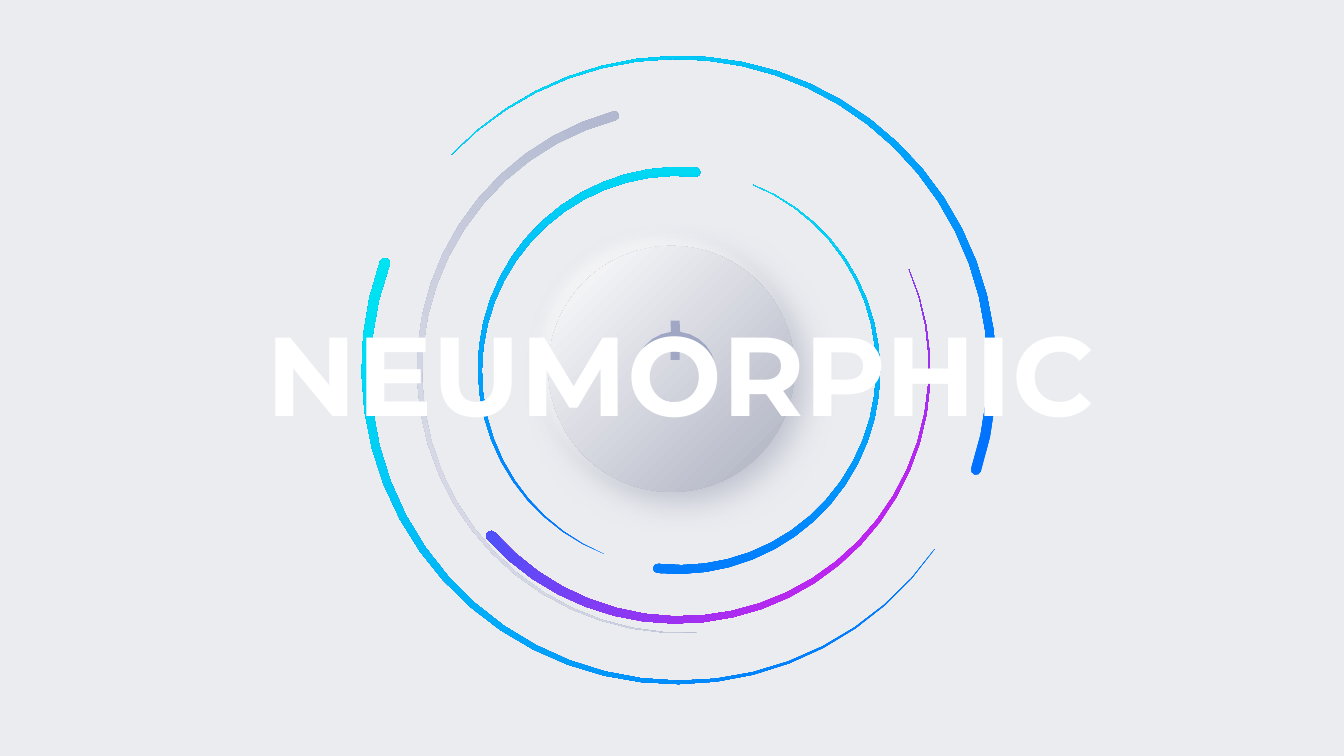
from dataclasses import dataclass
from math import cos, radians, sin

from lxml import etree
from pptx import Presentation
from pptx.dml.color import RGBColor
from pptx.enum.shapes import MSO_SHAPE
from pptx.enum.text import MSO_AUTO_SIZE, PP_ALIGN
from pptx.oxml.ns import qn
from pptx.util import Inches, Pt

OVAL = MSO_SHAPE.OVAL
CENTER = PP_ALIGN.CENTER
FIT_SHAPE = MSO_AUTO_SIZE.SHAPE_TO_FIT_TEXT

PAPER, WHITE, SHADE, SLATE = "EBECF0", "FFFFFF", "ACB0C0", "9FA7C4"
BLUE_CYAN = ("006EFF", "00E6F2")
MAGENTA_BLUE = ("E615EB", "006EFF")
GREY = (SLATE, "ECEDF3")

Point = tuple[float, float]


@dataclass
class Swoosh:
    """Arc that tapers from a round cap at start to a point at end (degrees)."""
    hub: Point
    radius: float
    start: float
    end: float
    width: float
    colors: tuple[str, str]
    direction: float = 225
    rotation: float = 0


@dataclass
class Shadow:
    color: str
    alpha: int
    blur: float
    distance: float
    direction: int


HUB = (6.73, 3.67)
SWOOSHES = [
    Swoosh(HUB, 3.1, 200, 35, 0.1, BLUE_CYAN),
    Swoosh((6.73, 3.68), 3.11, 18.4, -136.3, 0.1, BLUE_CYAN),
    Swoosh((6.77, 3.67), 2.61, 255, 87, 0.09, GREY, 170, 339.2),
    Swoosh((6.73, 3.66), 2.49, 138.3, -23.4, 0.1, MAGENTA_BLUE),
    Swoosh(HUB, 1.98, 96, -68, 0.09, BLUE_CYAN, rotation=46.7),
    Swoosh(HUB, 1.97, 275, 112, 0.09, BLUE_CYAN, rotation=46.7),
]
DISC_SHADOWS = [Shadow(SHADE, 73, 24, 9, 45), Shadow(WHITE, 56, 9, 9, 225)]


def rgb(color: str) -> RGBColor:
    return RGBColor.from_string(color)


def polar(center: Point, radius: float, angle: float) -> Point:
    a = radians(angle)
    return center[0] + radius * cos(a), center[1] + radius * sin(a)


def arc(center: Point, r0: float, r1: float, start: float, end: float,
        steps: int = 24) -> list[Point]:
    """Points from start to end while the radius goes from r0 to r1."""
    return [polar(center, r0 + (r1 - r0) * i / steps,
                  start + (end - start) * i / steps) for i in range(steps + 1)]


def add_outline(s, contours: list[list[Point]]):
    contours = [[(Inches(x), Inches(y)) for x, y in c] for c in contours]
    builder = s.shapes.build_freeform(*contours[0][0])
    for i, contour in enumerate(contours):
        if i:
            builder.move_to(*contour[0])
        builder.add_line_segments(contour[1:], close=True)
    sp = builder.convert_to_shape()
    sp.line.fill.background()
    sp.shadow.inherit = False
    return sp


def fill_gradient(sp, colors: tuple[str, str]) -> None:
    sp.fill.gradient()
    for stop, color, position in zip(sp.fill.gradient_stops, colors, (0, 1)):
        stop.color.rgb = rgb(color)
        stop.position = position


def add_swoosh(s, w: Swoosh) -> None:
    start, end = w.start - w.rotation, w.end - w.rotation
    half = w.width / 2
    outer = arc(w.hub, w.radius + half, w.radius, start, end)
    inner = arc(w.hub, w.radius, w.radius - half, end, start)
    cap = arc(polar(w.hub, w.radius, start), half, half, start + 180, start, 4)
    sp = add_outline(s, [outer + inner[1:] + cap[1:-1]])
    fill_gradient(sp, w.colors)
    sp.fill.gradient_angle = 360 - w.direction
    # Turning happens about the shape's middle, so carry that around the hub.
    dx = sp.left + sp.width / 2 - Inches(w.hub[0])
    dy = sp.top + sp.height / 2 - Inches(w.hub[1])
    c, n = cos(radians(w.rotation)), sin(radians(w.rotation))
    sp.left += round(dx * c - dy * n - dx)
    sp.top += round(dx * n + dy * c - dy)
    sp.rotation = w.rotation


def add_disc(s, shadow: Shadow):
    sp = s.shapes.add_shape(OVAL, Inches(5.44), Inches(2.44), Inches(2.44), Inches(2.44))
    sp.fill.solid()
    sp.fill.fore_color.rgb = rgb(PAPER)
    sp.line.fill.background()
    sp.shadow.inherit = False
    effects = sp._element.spPr.find(qn("a:effectLst"))
    outer = etree.SubElement(
        effects, qn("a:outerShdw"), blurRad=str(Pt(shadow.blur)),
        dist=str(Pt(shadow.distance)), dir=str(shadow.direction * 60000),
        algn="ctr", rotWithShape="0")
    color = etree.SubElement(outer, qn("a:srgbClr"), val=shadow.color)
    etree.SubElement(color, qn("a:alpha"), val=str(shadow.alpha * 1000))
    return sp


def fill_radial(sp, colors: tuple[str, str]) -> None:
    """Circular gradient spreading from the top left corner."""
    fill_gradient(sp, colors)
    grad = sp._element.spPr.find(qn("a:gradFill"))
    circle = etree.Element(qn("a:path"), path="circle")
    etree.SubElement(circle, qn("a:fillToRect"), r="100000", b="100000")
    grad.replace(grad.find(qn("a:lin")), circle)


def add_power_icon(s) -> None:
    center, left, right = (6.7, 3.69), 6.65, 6.74
    contours = []
    for radius, gap, stem_end in ((0.4, 6.5, 3.18), (0.3, 8.5, 3.57)):
        ring = arc(center, radius, radius, gap - 90, 270 - gap)
        contours.append(ring + [(left, stem_end), (right, stem_end)])
    sp = add_outline(s, contours)
    sp.fill.solid()
    sp.fill.fore_color.rgb = rgb(SLATE)


def add_title(s, text: str) -> None:
    tf = s.shapes.add_textbox(Inches(2.39), Inches(3.02), Inches(8.73), Inches(1.35)).text_frame
    tf.word_wrap = True
    tf.auto_size = FIT_SHAPE
    tf.margin_left = tf.margin_right = tf.margin_top = tf.margin_bottom = 0
    p = tf.paragraphs[0]
    p.text = text
    p.alignment = CENTER
    p.font.name = "Montserrat"
    p.font.size = Pt(80)
    p.font.bold = True
    p.font.color.rgb = rgb(WHITE)


def main() -> None:
    prs = Presentation()
    prs.slide_width, prs.slide_height = Inches(13.33), Inches(7.5)
    s = prs.slides.add_slide(prs.slide_layouts[6])
    s.background.fill.solid()
    s.background.fill.fore_color.rgb = rgb(PAPER)
    for swoosh in SWOOSHES:
        add_swoosh(s, swoosh)
    discs = [add_disc(s, shadow) for shadow in DISC_SHADOWS]
    fill_radial(discs[-1], (WHITE, SHADE))
    add_power_icon(s)
    add_title(s, "NEUMORPHIC")
    prs.save("out.pptx")


if __name__ == "__main__":
    main()
